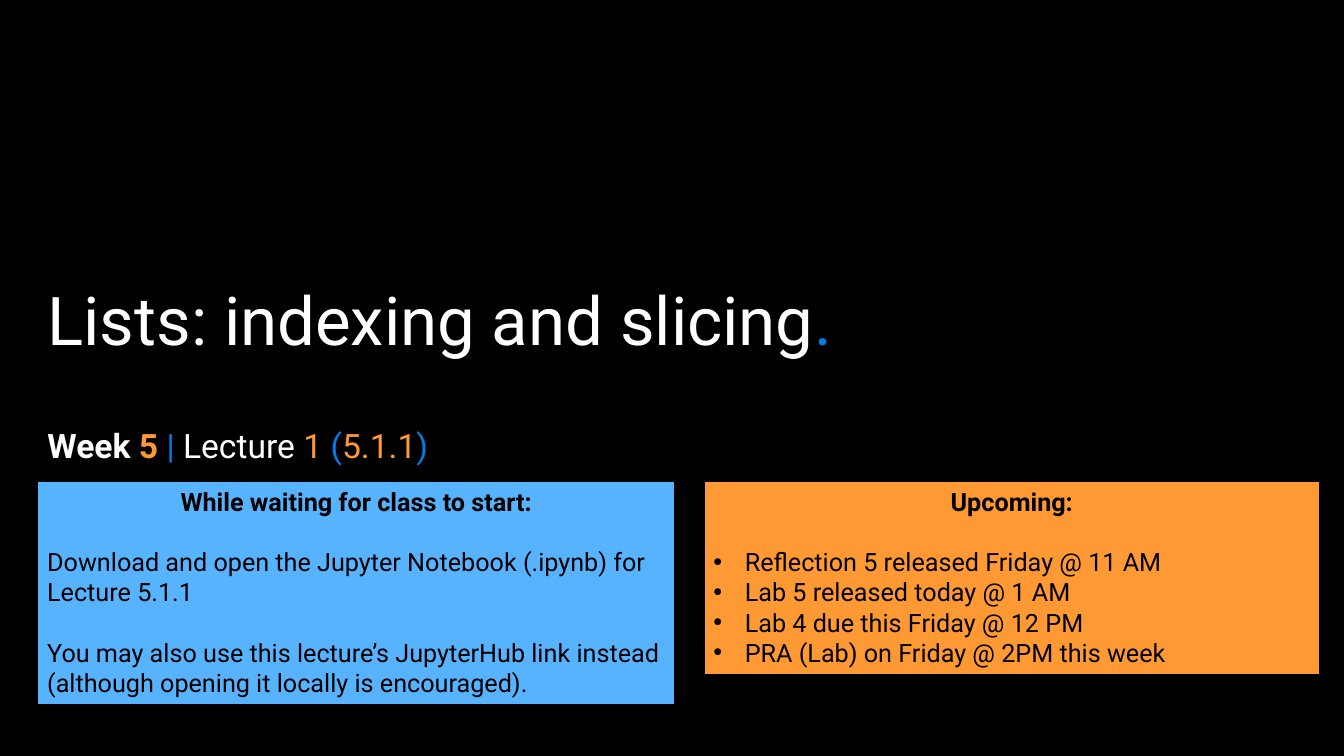
import pptx
import pptx.dml.color
import pptx.enum.shapes
import pptx.enum.text
import pptx.oxml
import pptx.oxml.ns
import pptx.util

Cm, Pt = pptx.util.Cm, pptx.util.Pt
RGBColor = pptx.dml.color.RGBColor
ALIGN = pptx.enum.text.PP_ALIGN
ANCHOR = pptx.enum.text.MSO_ANCHOR

BLACK = RGBColor(0x00, 0x00, 0x00)
WHITE = RGBColor(0xFF, 0xFF, 0xFF)
BLUE = RGBColor(0x01, 0x7E, 0xE5)
SKY = RGBColor(0x58, 0xB3, 0xFE)
ORANGE = RGBColor(0xFF, 0x99, 0x33)
FONT = "Roboto"

# Runs: text, colour, bold
TITLE = [("Lists: indexing and slicing", WHITE, False), (".", BLUE, False)]
WEEK = [
    ("Week ", WHITE, True), ("5 ", ORANGE, True), ("|", BLUE, False),
    (" Lecture ", WHITE, False), ("1 ", ORANGE, False), ("(", BLUE, False),
    ("5.1.1", ORANGE, False), (")", BLUE, False),
]
# Panels: left, width, height in cm, fill, heading, lines, bulleted, gap between lines
LINE = 21.6
PANELS = [
    (17.73, 15.54, 4.88, ORANGE, "Upcoming:", [
        "Reflection 5 released Friday @ 11 AM",
        "Lab 5 released today @ 1 AM",
        "Lab 4 due this Friday @ 12 PM",
        "PRA (Lab) on Friday @ 2PM this week",
    ], True, 0),
    (0.94, 16.08, 5.64, SKY, "While waiting for class to start:", [
        "Download and open the Jupyter Notebook (.ipynb) for Lecture 5.1.1",
        "You may also use this lecture’s JupyterHub link instead "
        "(although opening it locally is encouraged).",
    ], False, LINE),
]
LEFT, WIDTH, PANEL_TOP = 0.94, 31.65, 12.12


def write(para, runs, size=18, align=ALIGN.LEFT, before=0, spacing=1.0, bullet=False):
    if bullet:
        props = para._p.get_or_add_pPr()
        props.set("marL", str(Cm(0.79)))
        props.set("indent", str(-Cm(0.79)))
        space = pptx.oxml.ns.nsdecls("a")
        for tag in ('buFont %s typeface="Arial"', 'buChar %s char="•"'):
            props.append(pptx.oxml.parse_xml("<a:" + tag % space + "/>"))
    para.alignment = align
    para.space_before = Pt(before)
    para.line_spacing = spacing
    for text, colour, bold in runs:
        run = para.add_run()
        run.text = text
        run.font.name = FONT
        run.font.size = Pt(size)
        run.font.bold = bold
        run.font.color.rgb = colour


def fill_holder(shape, top, height, anchor, runs, size):
    shape.left, shape.top = Cm(LEFT), Cm(top)
    shape.width, shape.height = Cm(WIDTH), Cm(height)
    frame = shape.text_frame
    frame.auto_size = pptx.enum.text.MSO_AUTO_SIZE.NONE
    frame.vertical_anchor = anchor
    write(frame.paragraphs[0], runs, size=size, spacing=0.9)


def add_panel(slide, left, width, height, fill, head, lines, bullet, gap):
    box = slide.shapes.add_shape(
        pptx.enum.shapes.MSO_SHAPE.RECTANGLE,
        Cm(left), Cm(PANEL_TOP), Cm(width), Cm(height))
    box.shadow.inherit = False
    box.fill.solid()
    box.fill.fore_color.rgb = fill
    box.line.color.rgb = BLACK
    box.line.width = Pt(1.5)
    frame = box.text_frame
    frame.word_wrap = True
    frame.vertical_anchor = ANCHOR.TOP
    write(frame.paragraphs[0], [(head, BLACK, True)], align=ALIGN.CENTER)
    for i, line in enumerate(lines):
        write(frame.add_paragraph(), [(line, BLACK, False)],
              before=gap if i else LINE, bullet=bullet)


def main():
    deck = pptx.Presentation()
    deck.slide_width, deck.slide_height = Cm(33.87), Cm(19.05)
    slide = deck.slides.add_slide(deck.slide_layouts[0])
    slide.background.fill.solid()
    slide.background.fill.fore_color.rgb = BLACK
    fill_holder(slide.shapes.title, 6.71, 2.49, ANCHOR.BOTTOM, TITLE, 48)
    fill_holder(slide.placeholders[1], 10.69, 4.6, ANCHOR.TOP, WEEK, 24)
    for panel in PANELS:
        add_panel(slide, *panel)
    deck.save("out.pptx")


if __name__ == "__main__":
    main()
